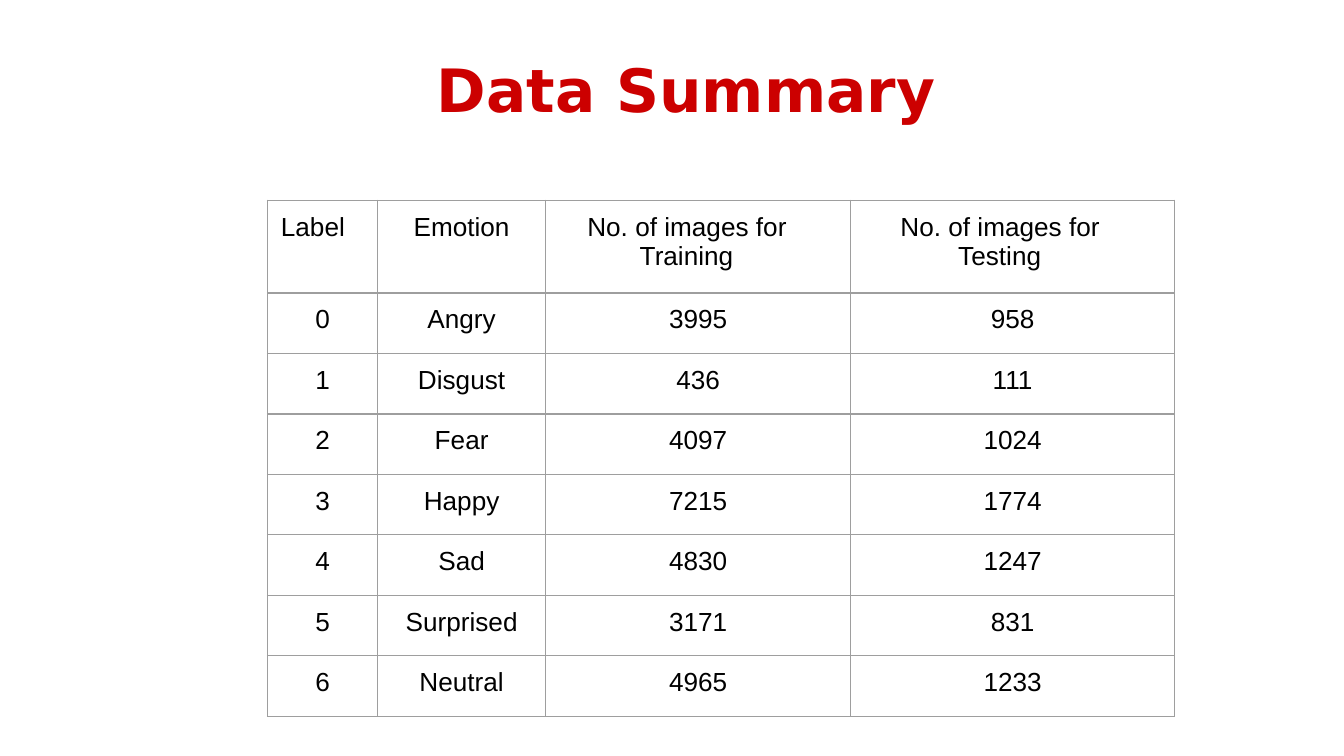
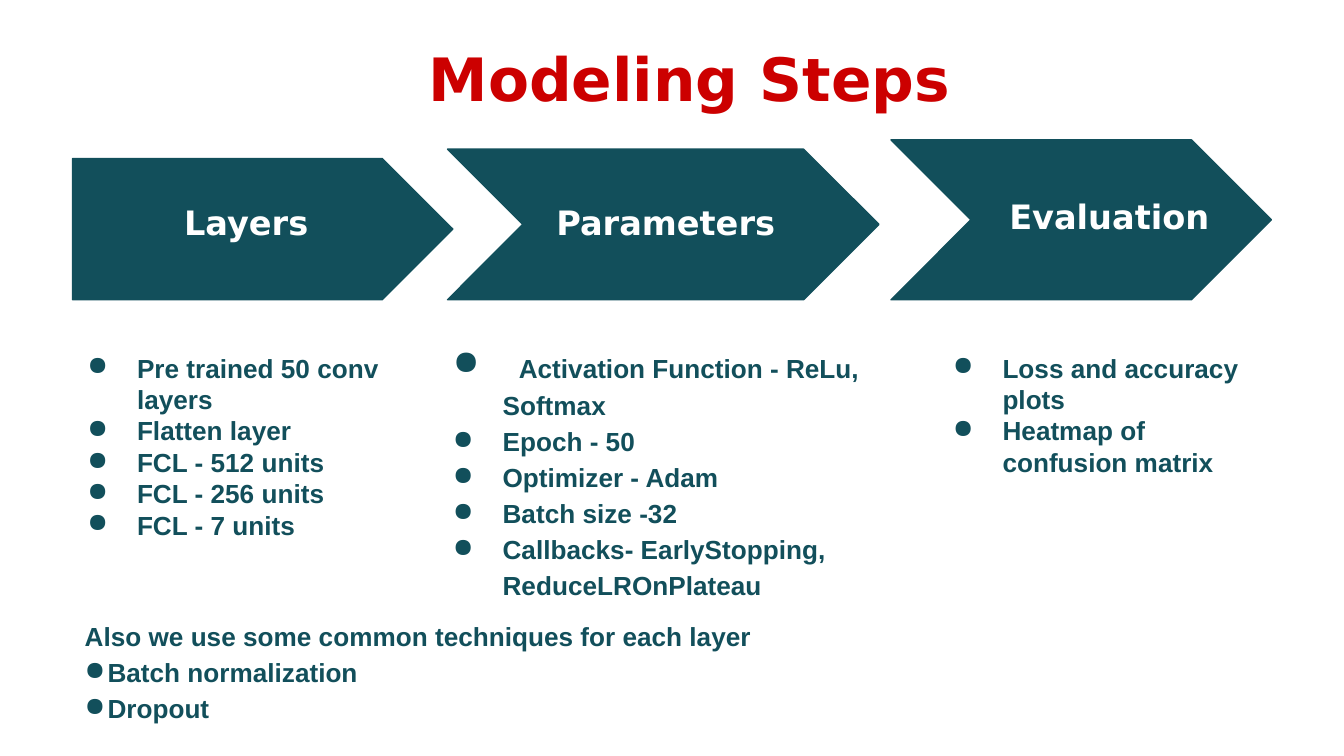
from lxml import etree
from pptx import Presentation
from pptx.dml.color import RGBColor
from pptx.enum.shapes import MSO_SHAPE
from pptx.enum.text import MSO_ANCHOR, MSO_AUTO_SIZE, PP_ALIGN
from pptx.oxml.ns import qn
from pptx.util import Inches, Pt

PENTAGON, CHEVRON = MSO_SHAPE.PENTAGON, MSO_SHAPE.CHEVRON
TOP, LEFT, CENTER = MSO_ANCHOR.TOP, PP_ALIGN.LEFT, PP_ALIGN.CENTER
GROW = MSO_AUTO_SIZE.SHAPE_TO_FIT_TEXT
TITLE_ONLY = 5
GRID_STEP = Inches(0.1)
GRID_COLUMNS, GRID_ROWS = 100, 56.25
COLORS = {"title": "CC0000", "teal": "124F5B", "white": "FFFFFF",
          "black": "000000", "border": "9E9E9E"}
FONTS = {
    "title": ("title", {"name": "DejaVu Sans", "size": Pt(32), "bold": True}),
    "step": ("white", {"name": "DejaVu Sans", "size": Pt(18), "bold": True}),
    "body": ("teal", {"name": "Arial", "size": Pt(14), "bold": True}),
    "tab": ("black", {"name": "Arial", "size": Pt(18), "bold": False}),
    "cell": ("black", {"name": "Arial", "size": Pt(14), "bold": False}),
}
PLAIN = {"indent": (0.1, 0)}
BULLET = {"indent": (3.8, -3.7), "bullet": True}
SPACED = {**BULLET, "format": {"space_before": Pt(2.5)}}
LOOSE = {**BULLET, "format": {"line_spacing": 1.15}}
TECHNIQUE = {**SPACED, "indent": (1.8, -1.7)}

HEADER = ["Label", "Emotion", "No. of images for Training", "No. of images for Testing"]
HEADER_INDENTS = [(3, -2), None, (7, -3.9), (8, -4.3)]
EMOTIONS = [
    ("Angry", 3995, 958), ("Disgust", 436, 111), ("Fear", 4097, 1024),
    ("Happy", 7215, 1774), ("Sad", 4830, 1247), ("Surprised", 3171, 831),
    ("Neutral", 4965, 1233),
]
STEPS = [
    (PENTAGON, (5.4, 11.8, 28.3, 10.5), "Layers", (13.6, 14.9, 14.2, 3.2)),
    (CHEVRON, (33.3, 11.1, 32.1, 11.2), "Parameters", (41.3, 14.9, 19.6, 3.2)),
    (CHEVRON, (66.3, 10.4, 28.3, 11.9), "Evaluation", (75, 14.5, 17.3, 3.2)),
]
LAYERS = ["Pre trained 50 conv layers", "Flatten layer", "FCL - 512 units",
          "FCL - 256 units", "FCL - 7 units"]
PARAMETERS = [
    ("\tActivation Function - ReLu, Softmax", LOOSE),
    ("Epoch - 50", SPACED), ("Optimizer - Adam", SPACED), ("Batch size -32", SPACED),
    ("Callbacks- EarlyStopping, ReduceLROnPlateau", LOOSE),
]
EVALUATION = ["Loss and accuracy plots", "Heatmap of confusion matrix"]
TECHNIQUES = [
    ("Also we use some common techniques for each layer", PLAIN),
    ("Batch normalization", TECHNIQUE), ("Dropout", TECHNIQUE),
]


def grid(*lengths):
    """Turn grid steps into slide lengths."""
    return [round(length * GRID_STEP) for length in lengths]


def apply(target, values):
    """Set each named attribute on the target."""
    for name, value in values.items():
        setattr(target, name, value)


class Deck:
    """Hold the shared style and the slide being filled."""

    def __init__(self):
        """Start an empty presentation."""
        self.presentation = Presentation()
        width, height = grid(GRID_COLUMNS, GRID_ROWS)
        apply(self.presentation, {"slide_width": width, "slide_height": height})
        self.slide = None

    def color(self, name):
        """Look up a palette colour."""
        return RGBColor.from_string(COLORS[name])

    def add_slide(self, title, box):
        """Add a slide and place its title."""
        layout = self.presentation.slide_layouts[TITLE_ONLY]
        self.slide = self.presentation.slides.add_slide(layout)
        shape = self.slide.shapes.title
        self.fill_text(shape, box, [(title, PLAIN)], "title")

    def add_run(self, paragraph, text, style):
        """Add one styled run."""
        run = paragraph.add_run()
        run.text = text
        color, values = FONTS[style]
        apply(run.font, values)
        run.font.color.rgb = self.color(color)

    def format_paragraph(self, paragraph, indent=None, bullet=False, format=None):
        """Set spacing, indents and bullet."""
        apply(paragraph, {"alignment": LEFT if indent else CENTER, **(format or {})})
        properties = paragraph._p.get_or_add_pPr()
        if indent:
            for name, length in zip(("marL", "indent"), grid(*indent)):
                properties.set(name, str(length))
        if bullet:
            color = etree.SubElement(properties, qn("a:buClr"))
            etree.SubElement(color, qn("a:srgbClr"), val=COLORS["teal"])
            etree.SubElement(properties, qn("a:buChar"), char="●")

    def fill_text(self, shape, box, lines, style, top=0.1, right=0):
        """Place a text shape and write its paragraphs."""
        apply(shape, dict(zip(("left", "top", "width", "height"), grid(*box))))
        frame = shape.text_frame
        margin_top, margin_right = grid(top, right)
        apply(frame, {"word_wrap": True, "auto_size": GROW, "vertical_anchor": TOP,
                      "margin_left": 0, "margin_right": margin_right,
                      "margin_top": margin_top, "margin_bottom": 0})
        for index, (text, layout) in enumerate(lines):
            paragraph = frame.add_paragraph() if index else frame.paragraphs[0]
            self.format_paragraph(paragraph, **layout)
            if text.startswith("\t"):
                self.add_run(paragraph, "\t", "tab")
            self.add_run(paragraph, text.lstrip("\t"), style)

    def add_text(self, box, lines, style="body", **margins):
        """Add a text box."""
        shape = self.slide.shapes.add_textbox(*grid(*box))
        self.fill_text(shape, box, lines, style, **margins)

    def add_arrow(self, kind, box):
        """Add a step arrow."""
        shape = self.slide.shapes.add_shape(kind, *grid(*box))
        shape.shadow.inherit = False
        shape.fill.solid()
        shape.fill.fore_color.rgb = self.color("teal")
        shape.line.color.rgb = self.color("teal")
        shape.line.width = Pt(0.75)

    def add_borders(self, cell):
        """Draw the four borders of a cell."""
        properties = cell._tc.get_or_add_tcPr()
        for index, side in enumerate(("lnL", "lnR", "lnT", "lnB")):
            line = etree.Element(qn(f"a:{side}"), w=str(Pt(0.75)))
            fill = etree.SubElement(line, qn("a:solidFill"))
            etree.SubElement(fill, qn("a:srgbClr"), val=COLORS["border"])
            properties.insert(index, line)

    def add_table(self, left, top, widths, heights, rows, header_indents):
        """Add a bordered table without fills."""
        box = grid(left, top, sum(widths), sum(heights))
        table = self.slide.shapes.add_table(len(rows), len(widths), *box).table
        apply(table, {"first_row": False, "horz_banding": False})
        for column, width in zip(table.columns, grid(*widths)):
            column.width = width
        for row, height in zip(table.rows, grid(*heights)):
            row.height = height
        margin_top, = grid(0.9)
        for row_index, values in enumerate(rows):
            for column_index, value in enumerate(values):
                cell = table.cell(row_index, column_index)
                apply(cell, {"margin_left": 0, "margin_right": 0, "margin_bottom": 0,
                             "margin_top": margin_top, "vertical_anchor": TOP})
                cell.fill.background()
                self.add_borders(cell)
                paragraph = cell.text_frame.paragraphs[0]
                indent = None if row_index else header_indents[column_index]
                self.format_paragraph(paragraph, indent)
                self.add_run(paragraph, str(value), "cell")


def add_data_summary(deck):
    """Build the table of images for each emotion."""
    deck.add_slide("Data Summary", (32.4, 3.8, 56.2, 5.5))
    rows = [HEADER] + [(label, *counts) for label, counts in enumerate(EMOTIONS)]
    heights = [6.9] + [4.5] * len(EMOTIONS)
    deck.add_table(19.9, 14.9, [8.2, 12.5, 22.7, 24.1], heights, rows, HEADER_INDENTS)


def add_modeling_steps(deck):
    """Build the three step arrows and their lists."""
    deck.add_slide("Modeling Steps", (31.8, 3, 46, 5.5))
    for kind, box, name, name_box in STEPS:
        deck.add_arrow(kind, box)
        deck.add_text(name_box, [(name, PLAIN)], "step")
    deck.add_text((33.6, 25.1, 37.2, 19.5), PARAMETERS)
    deck.add_text((6.4, 26.1, 25.4, 14.3), [(text, BULLET) for text in LAYERS])
    deck.add_text((70.8, 26.1, 26.4, 9.6), [(text, BULLET) for text in EVALUATION], right=4)
    deck.add_text((6.2, 45.7, 54.8, 8.3), TECHNIQUES, top=0.5)


def main():
    """Build and save the slides."""
    deck = Deck()
    add_data_summary(deck)
    add_modeling_steps(deck)
    deck.presentation.save("out.pptx")


if __name__ == "__main__":
    main()
